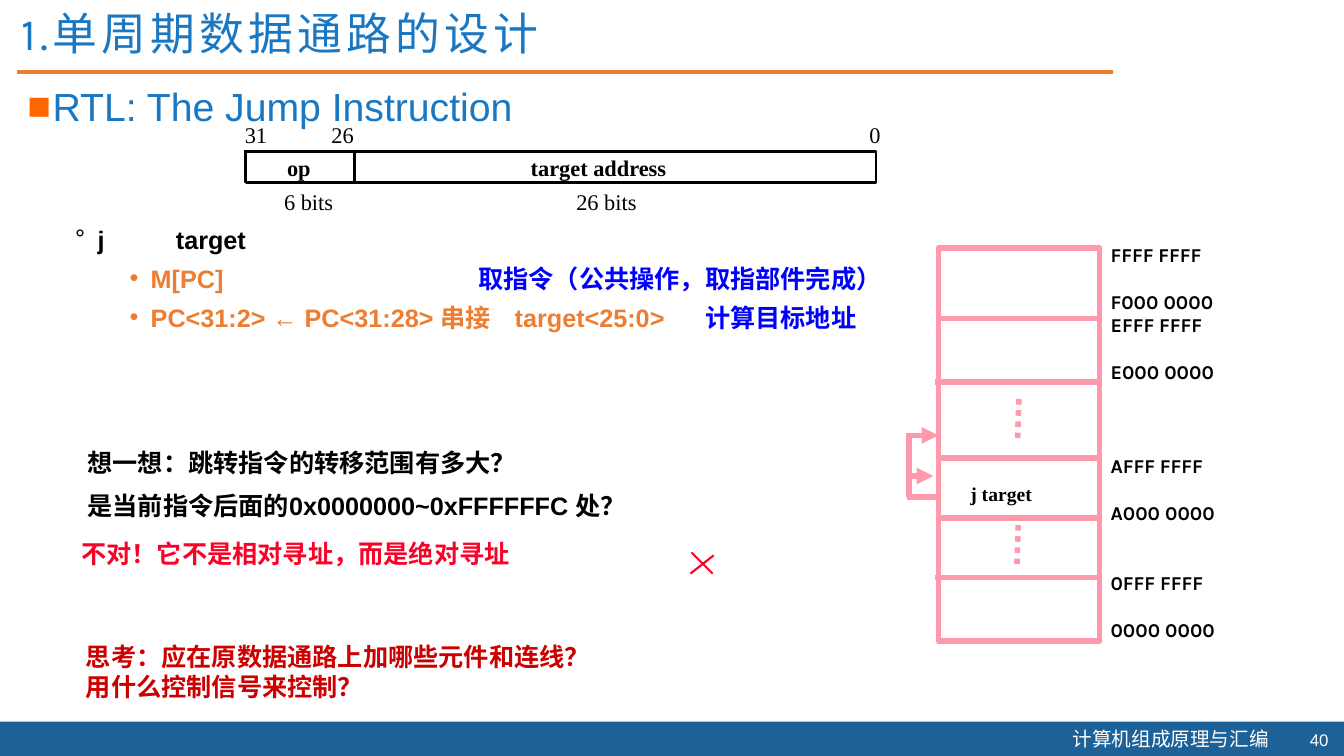
from dataclasses import dataclass

from lxml import etree
from pptx import Presentation
from pptx import util as u
from pptx.dml.color import RGBColor
from pptx.enum import dml, shapes, text
from pptx.oxml.ns import qn

WHITE = RGBColor(0xFF, 0xFF, 0xFF)
BLACK = RGBColor(0, 0, 0)
BAND_BLUE = RGBColor(0x1C, 0x62, 0x99)
TITLE_BLUE = RGBColor(0x1A, 0x78, 0xC3)
NOTE_BLUE = RGBColor(0, 0, 0xFF)
ORANGE = RGBColor(0xED, 0x7D, 0x31)
BULLET_ORANGE = RGBColor(0xFF, 0x66, 0)
RED = RGBColor(0xFC, 0x01, 0x28)
DARK_RED = RGBColor(0xCC, 0, 0)
PINK = RGBColor(0xFE, 0x9A, 0xAB)

ARIAL, KARLA, TIMES, NOTO = "Arial", "Karla", "Times New Roman", "Noto Sans CJK SC"


@dataclass
class Span:
    words: str
    color: RGBColor = BLACK


@dataclass
class Para:
    spans: list[Span]
    before: float = 0
    bullet: str = ""
    bullet_color: RGBColor = BLACK
    margin: float = 0
    hanging: float = 0
    tabs: tuple[float, ...] = ()


@dataclass
class TextBox:
    left: float
    top: float
    width: float
    height: float
    paras: list[Para]
    size: float
    font: str
    bold: bool = False
    inset: tuple[float, float] = (7.2, 3.6)
    wrap: bool = True
    spacing: int = 0
    line_spacing: float = 1
    align: text.PP_ALIGN = text.PP_ALIGN.LEFT


@dataclass
class Line:
    x1: float
    y1: float
    x2: float
    y2: float
    color: RGBColor = PINK
    weight: float = 4
    dotted: bool = False
    arrow: bool = False


@dataclass
class Frame:
    left: float
    top: float
    width: float
    height: float
    weight: float
    color: RGBColor = BLACK


def plain(words: str, color: RGBColor = BLACK) -> list[Para]:
    return [Para([Span(words, color)])]


def add_bullet_and_tabs(para, item: Para) -> None:
    props = para._p.get_or_add_pPr()
    if item.bullet:
        props.set("marL", str(u.Pt(item.margin)))
        props.set("indent", str(u.Pt(-item.hanging)))
        tint = etree.SubElement(props, qn("a:buClr"))
        etree.SubElement(tint, qn("a:srgbClr"), val=str(item.bullet_color))
        etree.SubElement(props, qn("a:buFont"), typeface=ARIAL)
        etree.SubElement(props, qn("a:buChar"), char=item.bullet)
    if item.tabs:
        stops = etree.SubElement(props, qn("a:tabLst"))
        for stop in item.tabs:
            etree.SubElement(stops, qn("a:tab"), pos=str(u.Pt(stop)), algn="l")


def draw_text(page, item: TextBox) -> None:
    box = page.shapes.add_textbox(u.Pt(item.left), u.Pt(item.top), u.Pt(item.width), u.Pt(item.height))
    frame = box.text_frame
    frame.word_wrap = item.wrap
    frame.margin_left = frame.margin_right = u.Pt(item.inset[0])
    frame.margin_top = frame.margin_bottom = u.Pt(item.inset[1])
    for number, entry in enumerate(item.paras):
        para = frame.add_paragraph() if number else frame.paragraphs[0]
        add_bullet_and_tabs(para, entry)
        para.alignment = item.align
        para.line_spacing = item.line_spacing
        if number:
            para.space_before = u.Pt(entry.before)
        for part in entry.spans:
            span = para.add_run()
            span.text = part.words
            span.font.size, span.font.name = u.Pt(item.size), item.font
            span.font.bold = item.bold
            span.font.color.rgb = part.color
            if item.spacing:
                span._r.get_or_add_rPr().set("spc", str(item.spacing * 100))


def draw_line(page, item: Line) -> None:
    line = page.shapes.add_connector(
        shapes.MSO_CONNECTOR.STRAIGHT, u.Pt(item.x1), u.Pt(item.y1), u.Pt(item.x2), u.Pt(item.y2))
    line.line.color.rgb = item.color
    line.line.width = u.Pt(item.weight)
    if item.dotted:
        line.line.dash_style = dml.MSO_LINE.ROUND_DOT
    if item.arrow:
        etree.SubElement(line.line._get_or_add_ln(), qn("a:tailEnd"), type="triangle")
    etree.SubElement(line._element.spPr, qn("a:effectLst"))


def draw_frame(page, item: Frame) -> None:
    frame = page.shapes.add_shape(
        shapes.MSO_SHAPE.RECTANGLE, u.Pt(item.left), u.Pt(item.top), u.Pt(item.width), u.Pt(item.height))
    frame.shadow.inherit = False
    frame.fill.background()
    frame.line.color.rgb = item.color
    frame.line.width = u.Pt(item.weight)


def draw_page_frame(page) -> None:
    band = page.shapes.add_shape(shapes.MSO_SHAPE.RECTANGLE, 0, u.Pt(515.5), u.Pt(960), u.Pt(24.5))
    band.shadow.inherit = False
    band.fill.solid()
    band.fill.fore_color.rgb = BAND_BLUE
    band.line.fill.background()
    draw_text(page, TextBox(759, 515.5, 157, 24.5, plain("计算机组成原理与汇编", WHITE), 14, NOTO))
    draw_text(page, TextBox(920, 517.9, 36, 21.6, plain("40", WHITE), 12, ARIAL, align=text.PP_ALIGN.RIGHT))
    draw_line(page, Line(12.5, 51.3, 795, 51.3, ORANGE, 3))
    draw_text(page, TextBox(8, 5, 767, 34.6, plain("1.单周期数据通路的设计", TITLE_BLUE), 32, KARLA,
                            spacing=3, line_spacing=0.9))
    heading = Para([Span("RTL: The Jump Instruction", TITLE_BLUE)], 0, "■", BULLET_ORANGE, 18, 18)
    draw_text(page, TextBox(12.5, 55, 932, 46, [heading], 28, ARIAL))


def draw_instruction_format(page) -> None:
    for frame in (Frame(175.7, 108, 450, 22.3, 2), Frame(175, 107.3, 78, 23, 1), Frame(254, 107.3, 371.5, 23, 1)):
        draw_frame(page, frame)
    labels = [("31", 167.8, 82.8, False), ("26", 229.7, 82.8, False), ("0", 614, 82.8, False),
              ("op", 198, 106.6, True), ("target address", 372, 106.6, True),
              ("6 bits", 195.8, 131, False), ("26 bits", 404.6, 131, False)]
    for words, left, top, bold in labels:
        width = 20 + 8 * len(words)
        draw_text(page, TextBox(left, top, width, 26, plain(words), 16, TIMES, bold, wrap=False))


def draw_explanations(page) -> None:
    transfer = [
        Para([Span("j\ttarget")], 0, "°", BLACK, 16, 16, (72,)),
        Para([Span("M[PC]\t", ORANGE), Span("取指令（公共操作，取指部件完成）", NOTE_BLUE)],
             6.3, "•", ORANGE, 54, 15, (288,)),
        Para([Span("PC<31:2> ← PC<31:28> 串接\ttarget<25:0>\t", ORANGE), Span("计算目标地址", NOTE_BLUE)],
             6.3, "•", ORANGE, 54, 15, (314, 450)),
    ]
    question = [Para([Span("想一想：跳转指令的转移范围有多大？")]),
                Para([Span("是当前指令后面的0x0000000~0xFFFFFFC 处？")], 9.4)]
    answer = plain("不对！它不是相对寻址，而是绝对寻址", RED)
    task = plain("思考：应在原数据通路上加哪些元件和连线？用什么控制信号来控制？", DARK_RED)
    draw_text(page, TextBox(48.7, 157.8, 693, 84, transfer, 18, ARIAL, True, (5, 2.2)))
    draw_text(page, TextBox(55.4, 316, 456, 61, question, 18, ARIAL, True))
    draw_text(page, TextBox(51, 381, 396, 29, answer, 18, TIMES, True))
    draw_text(page, TextBox(54.3, 454.3, 377.3, 50, task, 18, TIMES, True))
    # Cross beside the wrong answer
    draw_line(page, Line(509.8, 396.7, 493.2, 409.7, RED, 1.5))
    draw_line(page, Line(493.9, 394.6, 509, 409.7, RED, 1.5))


def draw_memory_map(page) -> None:
    draw_frame(page, Frame(670.3, 177, 115.2, 281, 4, PINK))
    # Address labels, each with the number of empty rows above it
    row = 16.7
    addresses = [("FFFF FFFF", 0), ("F000 0000", 1), ("EFFF FFFF", 0), ("E000 0000", 1),
                 ("AFFF FFFF", 3), ("A000 0000", 1), ("0FFF FFFF", 2), ("0000 0000", 1)]
    paras = [Para([Span(words)], gap * row) for words, gap in addresses]
    draw_text(page, TextBox(786.2, 170, 96, 292, paras, 14, KARLA, True))
    # Region borders
    for left, y in ((669, 227.5), (668, 273), (669, 327), (669, 370), (668, 412.6)):
        draw_line(page, Line(left, y, left + 115.5, y))
    for x, y in ((727.8, 285), (727.3, 375)):
        draw_line(page, Line(x, y, x - 1, y + 31, dotted=True))
    draw_text(page, TextBox(686, 340.6, 71, 24, plain("j target"), 14, TIMES, True))
    # Jump path
    for line in (Line(669, 355, 648, 355), Line(649.5, 355, 649.5, 311),
                 Line(648, 340, 666.7, 340, arrow=True), Line(647.3, 311, 670.3, 311, arrow=True)):
        draw_line(page, line)


def main() -> None:
    deck = Presentation()
    deck.slide_width, deck.slide_height = u.Pt(960), u.Pt(540)
    page = deck.slides.add_slide(deck.slide_layouts[6])
    draw_page_frame(page)
    draw_instruction_format(page)
    draw_explanations(page)
    draw_memory_map(page)
    deck.save("out.pptx")


if __name__ == "__main__":
    main()
